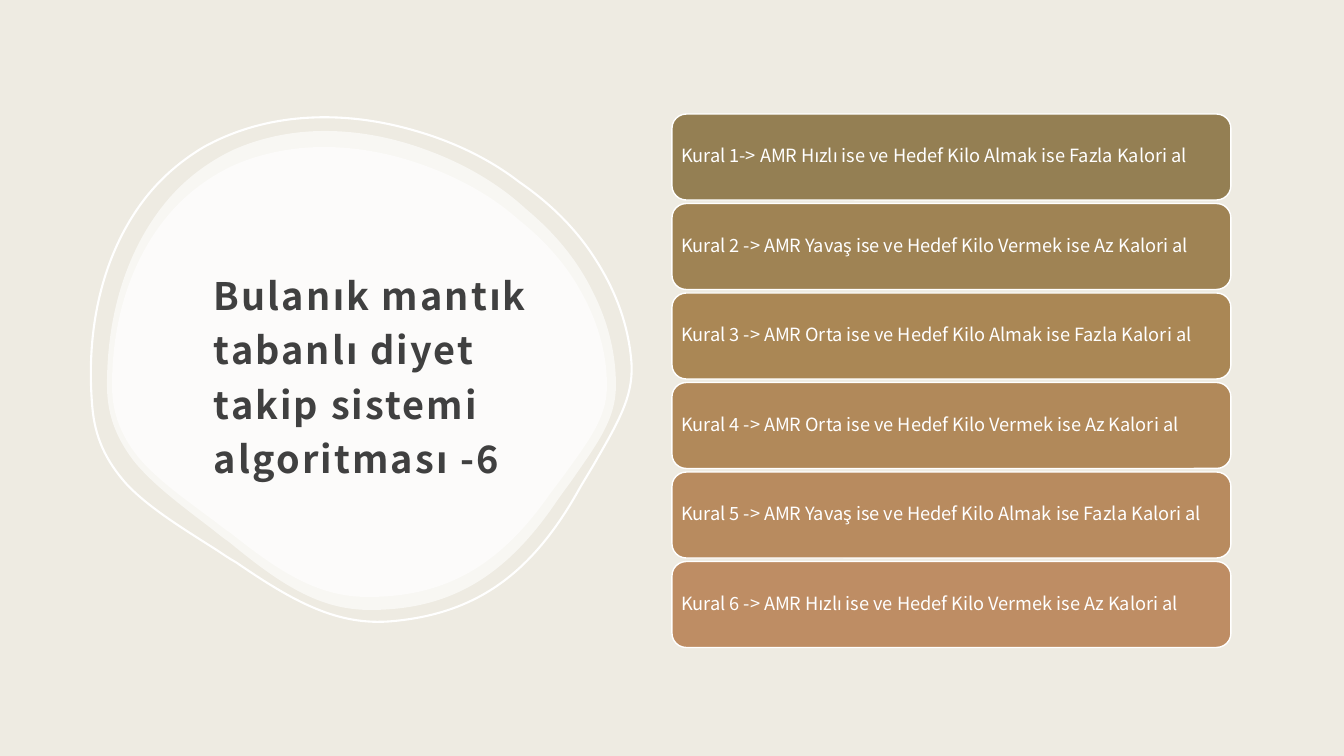
from lxml.etree import SubElement
from pptx import Presentation
from pptx.dml.color import RGBColor
from pptx.enum.shapes import MSO_SHAPE as SHAPE
from pptx.enum.text import MSO_ANCHOR as ANCHOR, PP_ALIGN as ALIGN
from pptx.oxml.ns import qn
from pptx.util import Emu, Pt

PX = 914400 / 100.8
FONT = "Noto Sans CJK JP"
WHITE = "FFFFFF"
BAR_TOP, BAR_PITCH = 114, 89.5

# Closed Bezier outline: a start point, then two handles and an end per curve
BLOB = [
    (218, 0),
    (184, 0), (153, 7), (126, 19),
    (101, 31), (78, 48), (59, 71),
    (21, 117), (0, 181), (0, 254),
    (0, 282), (8, 305), (26, 329),
    (45, 353), (75, 375), (105, 398),
    (110, 402), (116, 407), (122, 411),
    (173, 453), (212, 479), (263, 479),
    (342, 479), (398, 447), (450, 370),
    (457, 360), (464, 351), (470, 342),
    (496, 305), (509, 284), (509, 254),
    (509, 222), (501, 190), (485, 159),
    (470, 129), (448, 102), (419, 78),
    (392, 53), (359, 34), (325, 21),
    (289, 7), (253, 0), (218, 0),
]
RULES = [
    ("947F53", "Kural 1-> AMR Hızlı ise ve Hedef Kilo Almak ise Fazla Kalori al\u00a0"),
    ("9F8354", "Kural 2 -> AMR Yavaş ise ve Hedef Kilo Vermek ise Az Kalori al\u00a0"),
    ("AA8755", "Kural 3 -> AMR Orta ise ve Hedef Kilo Almak ise Fazla Kalori al\u00a0"),
    ("B1895A", "Kural 4 -> AMR Orta ise ve Hedef Kilo Vermek ise Az Kalori al\u00a0"),
    ("B88B5F", "Kural 5 -> AMR Yavaş ise ve Hedef Kilo Almak ise Fazla Kalori al\u00a0"),
    ("BE8D64", "Kural 6 -> AMR Hızlı ise ve Hedef Kilo Vermek ise Az Kalori al\u00a0"),
]


def px(n):
    """Turn pixels into EMU."""
    return Emu(round(n * PX))


def rgb(code):
    """Turn a hex string into a colour."""
    return RGBColor.from_string(code)


def set_all(obj, **values):
    """Set attributes of an object from format values."""
    for name, value in values.items():
        setattr(obj, name, value)


def paint(sp, fill=None, line=None, width=1, alpha=None):
    """Set fill, opacity in percent and outline, without a shadow."""
    sp.shadow.inherit = False
    if fill:
        sp.fill.solid()
        sp.fill.fore_color.rgb = rgb(fill)
        if alpha:
            color = sp._element.spPr.find(qn("a:solidFill"))[0]
            SubElement(color, qn("a:alpha")).set("val", str(alpha * 1000))
    else:
        sp.fill.background()
    if line:
        sp.line.color.rgb = rgb(line)
        sp.line.width = Pt(width)
    else:
        sp.line.fill.background()


def write(sp, text, size, color, spacing, insets, bold=False, tracking=0):
    """Write one left-aligned, vertically centred paragraph."""
    tf = sp.text_frame
    sides = ("margin_left", "margin_top", "margin_right", "margin_bottom")
    set_all(tf, word_wrap=True, vertical_anchor=ANCHOR.MIDDLE,
            **dict(zip(sides, map(px, insets))))
    p = tf.paragraphs[0]
    set_all(p, alignment=ALIGN.LEFT, line_spacing=spacing)
    r = p.add_run()
    r.text = text
    set_all(r.font, name=FONT, size=Pt(size), bold=bold)
    r.font.color.rgb = rgb(color)
    if tracking:
        r._r.get_or_add_rPr().set("spc", str(round(tracking * 100)))


def curve(sp):
    """Turn each three line segments of a freeform into one Bezier curve."""
    lines = list(sp._element.iter(qn("a:lnTo")))
    for i in range(0, len(lines), 3):
        first, *others = lines[i:i + 3]
        first.tag = qn("a:cubicBezTo")
        for other in others:
            first.append(other[0])
            other.getparent().remove(other)


def add_blob(s, box, rotation=0, **look):
    """Fit the blob outline into a box and turn it."""
    start, *points = [(px(x), px(y)) for x, y in BLOB]
    builder = s.shapes.build_freeform(*start)
    builder.add_line_segments(points, close=True)
    sp = builder.convert_to_shape()
    curve(sp)
    set_all(sp, rotation=rotation,
            **dict(zip(("left", "top", "width", "height"), map(px, box))))
    paint(sp, **look)


def add_title(s, text):
    """Add the title over the blob."""
    sp = s.shapes.add_textbox(*map(px, (202, 210, 365, 323)))
    write(sp, text, 27, "404040", 1.2, (12, 12, 12, 10), bold=True, tracking=1.5)


def add_rule(s, top, color, text):
    """Add one rounded rule bar."""
    sp = s.shapes.add_shape(SHAPE.ROUNDED_RECTANGLE, *map(px, (672, top, 559, 86)))
    paint(sp, fill=color, line=WHITE)
    write(sp, text, 13, WHITE, 0.9, (5, 5, 5, 5))


def main():
    """Build the slide and save it."""
    prs = Presentation()
    set_all(prs, slide_width=px(1344), slide_height=px(756))
    s = prs.slides.add_slide(prs.slide_layouts[6])
    s.background.fill.solid()
    s.background.fill.fore_color.rgb = rgb("EEEBE2")

    for box in ((107, 131, 509, 479), (112, 147, 495, 450)):
        add_blob(s, box, fill=WHITE, alpha=60)
    add_blob(s, (90, 114, 541, 509), rotation=-5, line=WHITE, width=1.5)
    add_title(s, "Bulanık mantık tabanlı diyet takip sistemi algoritması -6")
    for i, (color, text) in enumerate(RULES):
        add_rule(s, BAR_TOP + i * BAR_PITCH, color, text)

    prs.save("out.pptx")


main()
